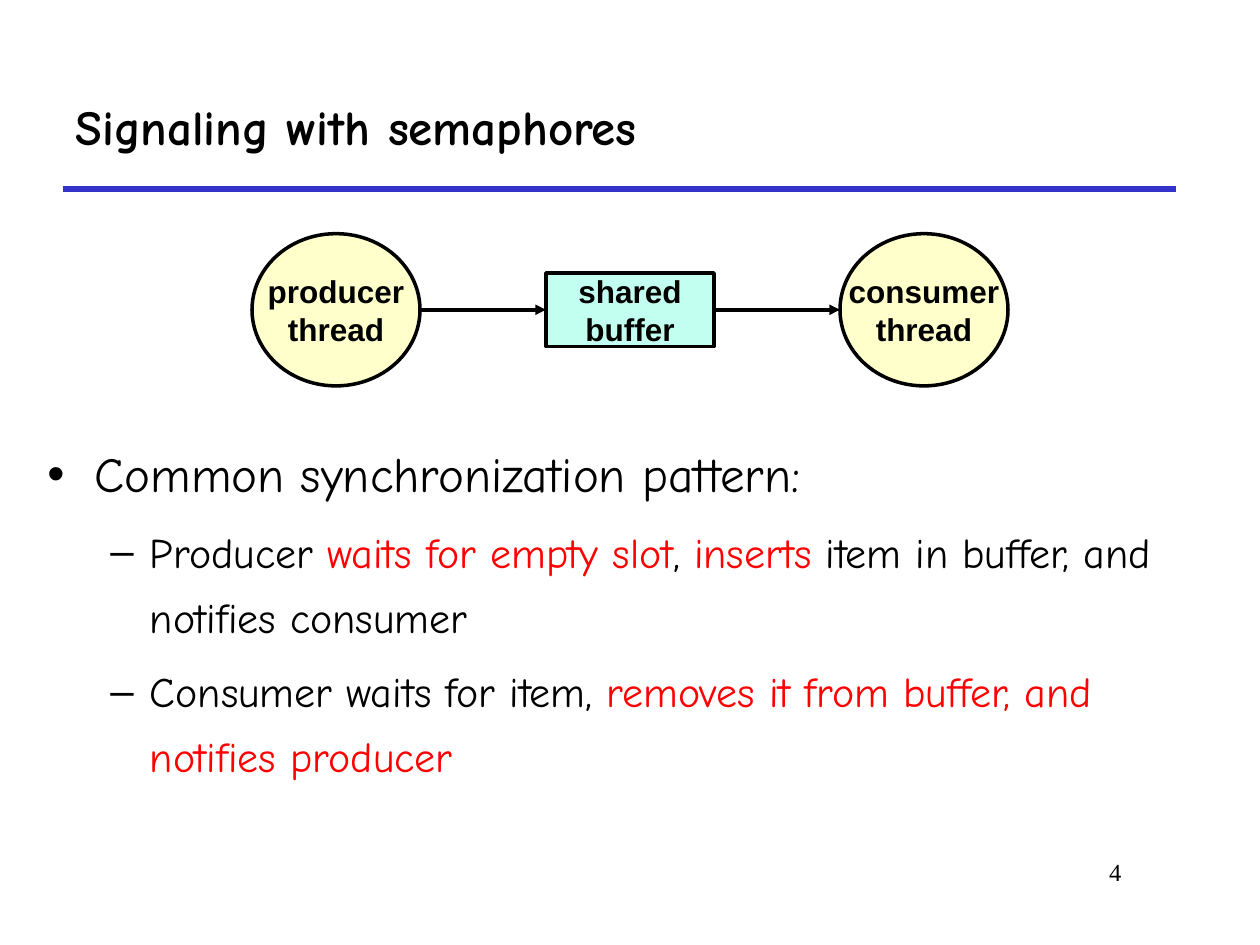
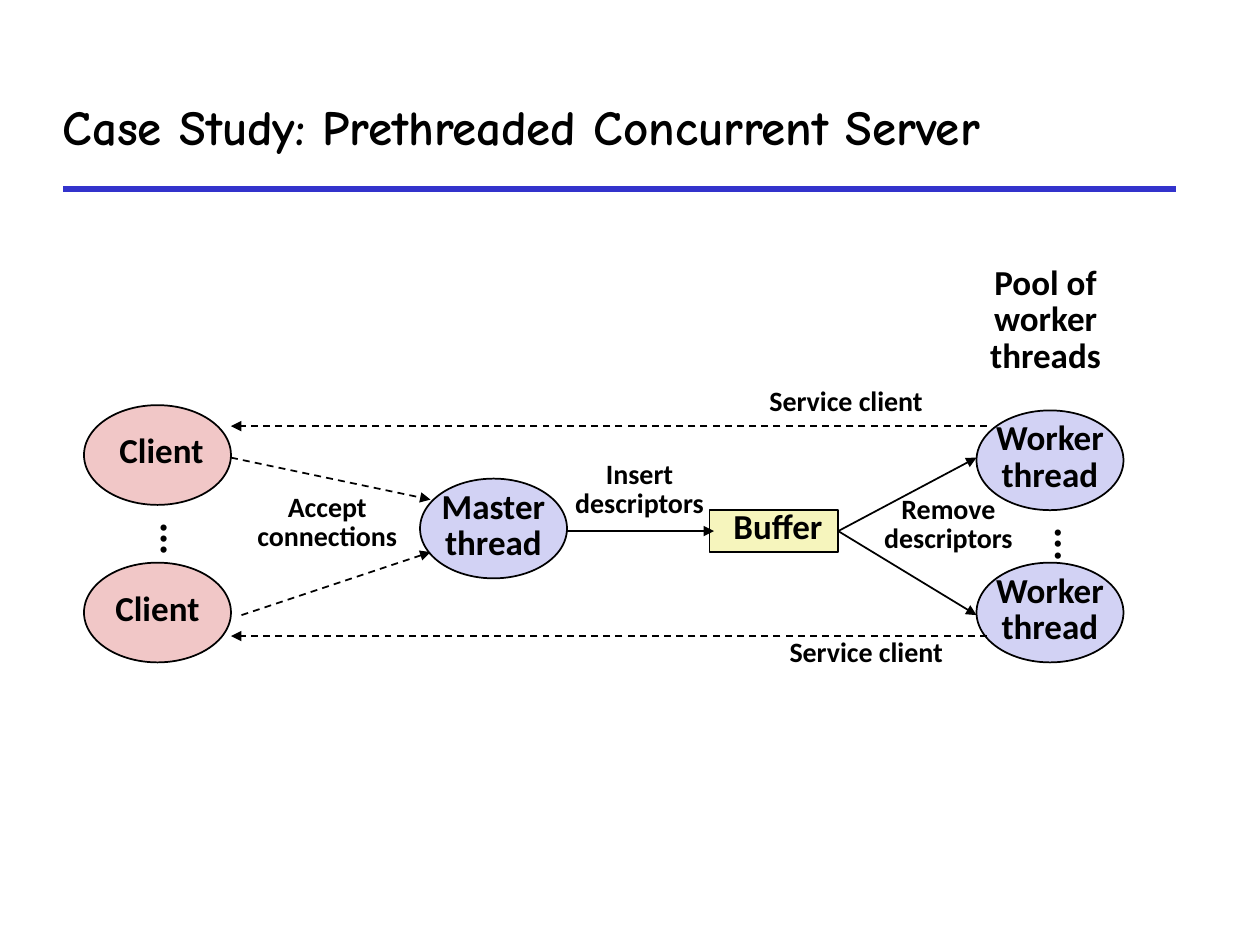
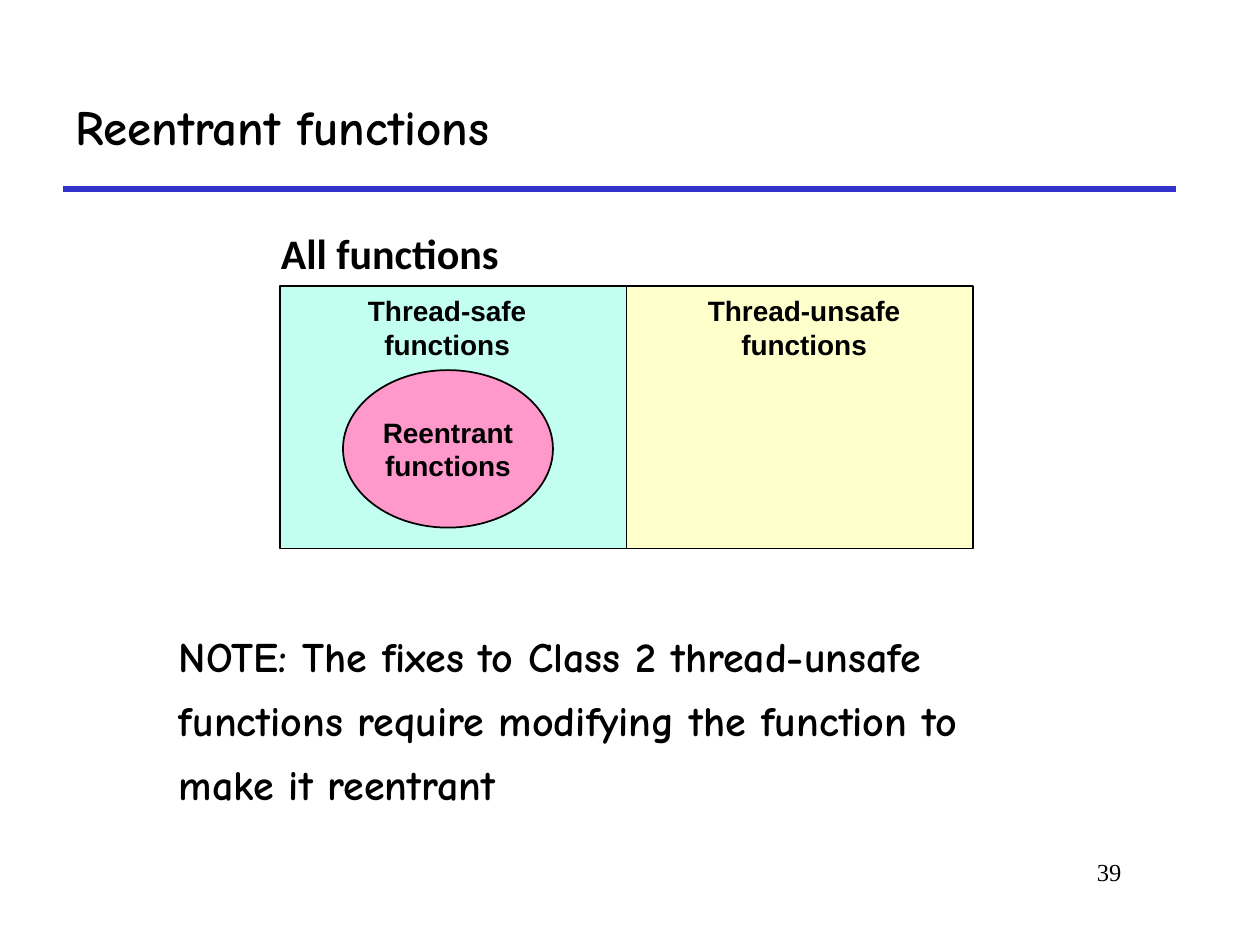
from dataclasses import dataclass
from typing import Any, NamedTuple, Optional

from lxml.etree import SubElement as Sub
from pptx import Presentation
from pptx.dml.color import RGBColor as RGB
from pptx.enum.dml import MSO_LINE as Dash
from pptx.enum.shapes import MSO_CONNECTOR as Link, MSO_SHAPE as Kind
from pptx.enum.text import MSO_ANCHOR as Anchor, MSO_AUTO_SIZE as Fit, PP_ALIGN as Align
from pptx.oxml.ns import qn
from pptx.util import Pt

HUES = {
    "ink": "000000", "rule": "3333CC", "red": "FF0000",
    "cream": "FFFFCC", "mint": "C2FFF0", "pink": "FF99CC",
    "lilac": "D2D2F4", "rose": "F1C7C7", "straw": "F6F5BD",
}
LEFT, RIGHT = 1, 3
OVAL, RECT = Kind.OVAL, Kind.RECTANGLE


class Style(NamedTuple):
    font: str
    size: float
    bold: bool = True
    align: Any = Align.CENTER
    pitch: Optional[float] = None
    gap: float = 0


class Run(NamedTuple):
    text: str
    hue: str = "ink"


class Mark(NamedTuple):
    """A bullet sign with its left margin and hanging indent."""
    sign: str
    left: float
    hang: float


@dataclass
class Node:
    kind: Any
    x: float
    y: float
    w: float
    h: float
    fill: str
    text: str = ""
    nudge: float = 0


@dataclass
class Label:
    x: float
    y: float
    w: float
    h: float
    text: str
    style: Style
    wrap: bool = False
    down: bool = False
    anchor: Any = Anchor.MIDDLE
    inset: float = 0


@dataclass
class Arrow:
    x1: float
    y1: float
    x2: float
    y2: float
    dash: bool = False


COMIC = "Comic Neue"
TITLE = Style(COMIC, 28, align=Align.LEFT)
PAGE = Style("Times New Roman", 14, False, Align.RIGHT)
POINT = Style(COMIC, 28, False, Align.LEFT, 1.3)
DETAIL = Style(COMIC, 24, False, Align.LEFT, 1.3, 4.8)
NOTE = Style(COMIC, 24, True, Align.LEFT, 1.1, 4.8)
FLOW = Style("Arial", 18)
ZONE = Style("Arial", 16)
HEAD = Style("Calibri", 24)
NAME = Style("Calibri", 20, pitch=0.7, gap=4)
STEP = Style("Calibri", 16, pitch=0.7, gap=3.2)
DOTS = Style("Calibri", 24, pitch=0.7)


def rgb(hue: str) -> RGB:
    return RGB.from_string(HUES[hue])


def put(item: Any, values: dict) -> None:
    for key, value in values.items():
        setattr(item, key, value)


def write(par: Any, runs: list[Run], style: Style, first: bool) -> None:
    put(par, {"alignment": style.align, "line_spacing": style.pitch,
              "space_before": Pt(0 if first else style.gap)})
    for part in runs:
        run = par.add_run()
        run.text = part.text
        put(run.font, {"name": style.font, "size": Pt(style.size), "bold": style.bold})
        run.font.color.rgb = rgb(part.hue)


def lines(frame: Any, text: str, style: Style) -> None:
    """Write each line of the text as a paragraph."""
    for i, line in enumerate(text.split("\n")):
        par = frame.add_paragraph() if i else frame.paragraphs[0]
        write(par, [Run(line)], style, i == 0)


def add_node(slide: Any, node: Node, style: Style, width: float = 1) -> Any:
    shape = slide.shapes.add_shape(node.kind, *map(Pt, (node.x, node.y, node.w, node.h)))
    shape.shadow.inherit = False
    shape.fill.solid()
    shape.fill.fore_color.rgb = rgb(node.fill)
    shape.line.color.rgb = rgb("ink")
    shape.line.width = Pt(width)
    if node.text:
        put(shape.text_frame, {
            "word_wrap": False, "vertical_anchor": Anchor.MIDDLE,
            "margin_left": Pt(7.2 + node.nudge), "margin_right": Pt(7.2),
            "margin_top": 0, "margin_bottom": 0})
        lines(shape.text_frame, node.text, style)
    return shape


def add_label(slide: Any, label: Label) -> None:
    box = slide.shapes.add_textbox(*map(Pt, (label.x, label.y, label.w, label.h)))
    frame = box.text_frame
    put(frame, {"word_wrap": label.wrap, "vertical_anchor": label.anchor,
                "margin_left": Pt(7.2 + label.inset),
                "auto_size": Fit.NONE if label.wrap else Fit.SHAPE_TO_FIT_TEXT})
    if label.down:
        frame._txBody.bodyPr.set("vert", "eaVert")
    lines(frame, label.text, label.style)


def add_line(slide: Any, path: Arrow, hue: str = "ink", width: float = 1,
             tip: bool = True) -> Any:
    ends = map(Pt, (path.x1, path.y1, path.x2, path.y2))
    link = slide.shapes.add_connector(Link.STRAIGHT, *ends)
    link.line.color.rgb = rgb(hue)
    link.line.width = Pt(width)
    if path.dash:
        link.line.dash_style = Dash.DASH
    if tip:
        Sub(link.line._get_or_add_ln(), qn("a:tailEnd"), type="triangle")
    Sub(link._element.spPr, qn("a:effectLst"))
    return link


def add_bullets(slide: Any, items: list[tuple[Mark, Style, list[Run]]]) -> None:
    frame = slide.shapes.add_textbox(Pt(20), Pt(240), Pt(686), Pt(258)).text_frame
    frame.word_wrap = True
    for i, (mark, style, runs) in enumerate(items):
        par = frame.add_paragraph() if i else frame.paragraphs[0]
        props = par._p.get_or_add_pPr()
        props.set("marL", str(Pt(mark.left)))
        props.set("indent", str(Pt(-mark.hang)))
        Sub(props, qn("a:buFont"), typeface="Arial")
        Sub(props, qn("a:buChar"), char=mark.sign)
        write(par, runs, style, i == 0)


def add_slide(deck: Any, title: str, page: str = "", x: float = 36, w: float = 636) -> Any:
    """Start a slide with its rule, title and page number."""
    slide = deck.slides.add_slide(deck.slide_layouts[6])
    add_line(slide, Arrow(36, 108, 672, 108), "rule", 3, False)
    add_label(slide, Label(x, 36, w, 72, title, TITLE, True))
    if page:
        add_label(slide, Label(546, 486, 102, 36, page, PAGE, True, anchor=Anchor.TOP))
    return slide


def signals(deck: Any) -> None:
    slide = add_slide(deck, "Signaling with semaphores", "4")
    mid, step, wide = 177, 168, 96
    specs = [(OVAL, 87, "cream", "producer\nthread"),
             (RECT, 42, "mint", "shared\nbuffer"),
             (OVAL, 87, "cream", "consumer\nthread")]
    shapes = [
        add_node(slide, Node(kind, 144 + i * step, mid - h / 2, wide, h, fill, text), FLOW, 2)
        for i, (kind, h, fill, text) in enumerate(specs)]
    into, out = [
        add_line(slide, Arrow(x, mid, x + step - wide, mid), width=2)
        for x in (240, 240 + step)]
    into.end_connect(shapes[1], LEFT)
    out.begin_connect(shapes[1], RIGHT)

    dot, bar = Mark("•", 27, 27), Mark("–", 58.5, 22.5)
    add_bullets(slide, [
        (dot, POINT, [Run("Common synchronization pattern:")]),
        (bar, DETAIL, [Run("Producer "), Run("waits for empty slot", "red"), Run(", "),
                       Run("inserts", "red"),
                       Run(" item in buffer, and notifies consumer")]),
        (bar, DETAIL, [Run("Consumer waits for item, "),
                       Run("removes it from buffer, and notifies producer", "red")]),
    ])


def server(deck: Any) -> None:
    slide = add_slide(deck, "Case Study: Prethreaded Concurrent Server", x=28.8, w=674)
    wide, high = 84, 57
    for x, y, fill, text, nudge in [
            (240, 273.5, "lilac", "Master\nthread", 0),
            (558, 234.5, "lilac", "Worker\nthread", 0),
            (558, 321.5, "lilac", "Worker\nthread", 0),
            (48, 231.5, "rose", "Client", 4.5),
            (48, 321.5, "rose", "Client", 0)]:
        add_node(slide, Node(OVAL, x, y, wide, high, fill, text, nudge), NAME)
    buffer = add_node(slide, Node(RECT, 405.5, 291.5, 73.5, 24, "straw", "Buffer", 4.5), NAME)

    for y in (261.5, 351.5):
        fork = add_line(slide, Arrow(479, 303.5, 558, y))
        fork.begin_connect(buffer, RIGHT)
    for path in [Arrow(324, 303.5, 408, 303.5),
                 Arrow(132, 261.5, 246, 285.5, True),
                 Arrow(138, 351.5, 246, 315.5, True),
                 Arrow(564, 243.5, 132, 243.5, True),
                 Arrow(564, 363.5, 132, 363.5, True)]:
        add_line(slide, path)

    for x, y, w, h, text in [
            (139, 281, 96, 38, "Accept\nconnections"),
            (321, 262, 89, 38, "Insert\ndescriptors"),
            (497.5, 282, 89, 38, "Remove\ndescriptors"),
            (432, 220, 103, 22, "Service client"),
            (443.5, 363.5, 103, 22, "Service client")]:
        add_label(slide, Label(x, y, w, h, text, STEP))
    add_label(slide, Label(556, 150, 83, 69, "Pool of\nworker\nthreads", NAME))
    for x, y in [(80, 291.5), (591, 294.5)]:
        add_label(slide, Label(x, y, 36, 26.5, "...", DOTS, down=True))


def reentrant(deck: Any) -> None:
    slide = add_slide(deck, "Reentrant functions", "39")
    add_label(slide, Label(152.5, 126, 140.5, 37, "All functions", HEAD))
    wide, span = 198, 134
    for i, (fill, mid, text) in enumerate([
            ("mint", 255.5, "Thread-safe\nfunctions"),
            ("cream", 459.5, "Thread-unsafe\nfunctions")]):
        add_node(slide, Node(RECT, 160 + i * wide, 163.5, wide, 150, fill), ZONE)
        add_label(slide, Label(mid - span / 2, 164, span, 46, text, ZONE))
    add_node(slide, Node(OVAL, 196, 211.5, 120, 90, "pink", "Reentrant\nfunctions"), ZONE)
    add_label(slide, Label(
        59, 354, 602, 114,
        "NOTE: The fixes to Class 2 thread-unsafe\n"
        "functions require modifying the function to\n"
        "make it reentrant", NOTE, True, anchor=Anchor.TOP, inset=36))


def main() -> None:
    deck = Presentation()
    put(deck, {"slide_width": Pt(720), "slide_height": Pt(540)})
    for build in (signals, server, reentrant):
        build(deck)
    deck.save("out.pptx")


if __name__ == "__main__":
    main()
